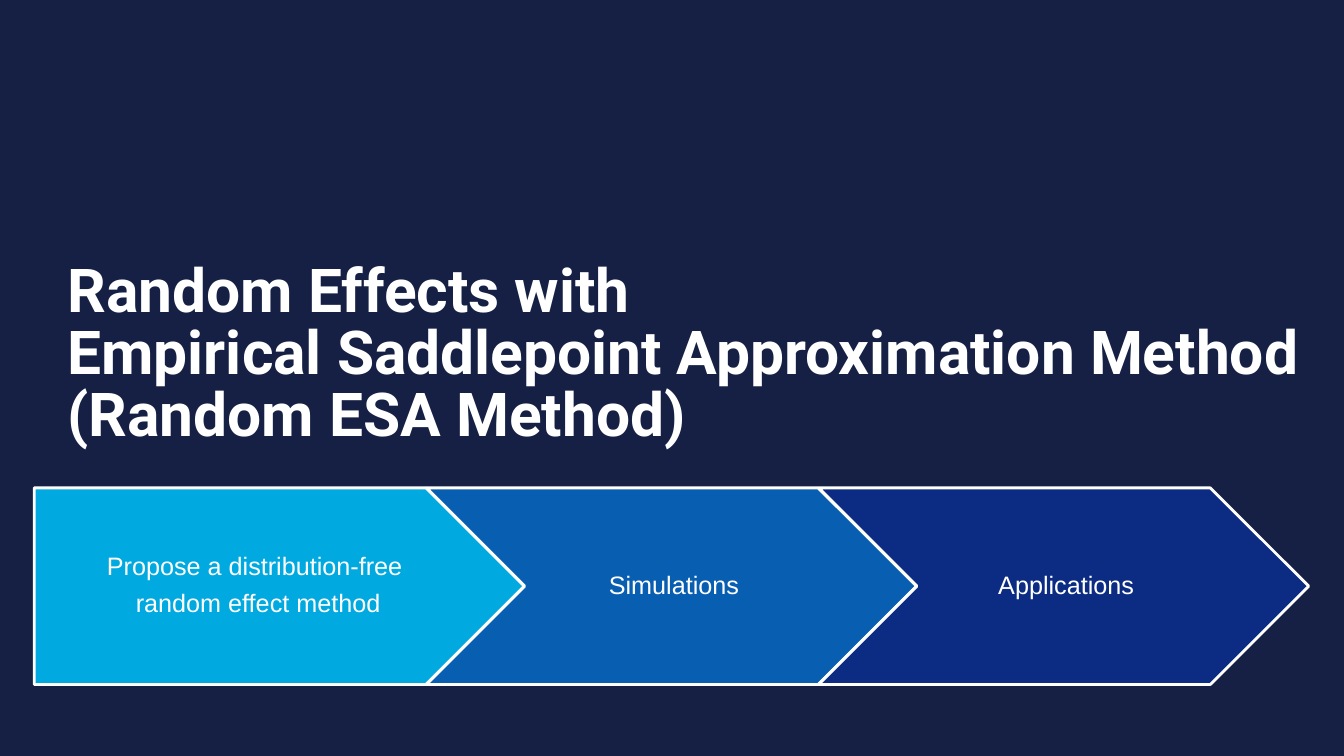
from dataclasses import dataclass

from pptx import Presentation
from pptx.dml.color import RGBColor
from pptx.enum.shapes import MSO_SHAPE
from pptx.enum.text import MSO_ANCHOR, MSO_AUTO_SIZE, PP_ALIGN
from pptx.shapes.shapetree import GroupShapes
from pptx.slide import Slide
from pptx.util import Inches, Pt

PENTAGON = MSO_SHAPE.PENTAGON
CHEVRON = MSO_SHAPE.CHEVRON
MIDDLE = MSO_ANCHOR.MIDDLE
BOTTOM = MSO_ANCHOR.BOTTOM
NO_AUTOFIT = MSO_AUTO_SIZE.NONE
CENTER = PP_ALIGN.CENTER
LEFT = PP_ALIGN.LEFT
TITLE_ONLY_LAYOUT = 5


@dataclass(frozen=True)
class Theme:
    background: RGBColor = RGBColor(0x15, 0x20, 0x44)
    foreground: RGBColor = RGBColor(0xFF, 0xFF, 0xFF)
    cyan: RGBColor = RGBColor(0x00, 0xA9, 0xE0)
    blue: RGBColor = RGBColor(0x08, 0x5E, 0xB0)
    navy: RGBColor = RGBColor(0x0C, 0x2C, 0x83)
    title_font: str = "Roboto"
    body_font: str = "Arial"
    title_size: float = 43.2
    step_size: float = 18
    outline_width: float = 2


@dataclass(frozen=True)
class Step:
    lines: tuple[str, ...]
    fill: RGBColor
    outline: MSO_SHAPE = CHEVRON
    left_inset: float = 0.08


THEME = Theme()
TITLE = "Random Effects with \vEmpirical Saddlepoint Approximation Method\v(Random ESA Method)"
STEPS = (
    Step(("Propose a distribution-free ", "random effect method"), THEME.cyan, PENTAGON, 0.1),
    Step(("Simulations",), THEME.blue),
    Step(("Applications",), THEME.navy),
)
STEP_LEFT, STEP_TOP = 0.34, 4.84
STEP_WIDTH, STEP_HEIGHT = 4.86, 1.95
STEP_PITCH = 3.89


def add_title(slide: Slide, text: str) -> None:
    title = slide.shapes.title
    title.left, title.top = Inches(0.57), Inches(2.75)
    title.width, title.height = Inches(12.76), Inches(1.75)
    frame = title.text_frame
    frame.text = text
    frame.word_wrap = True
    frame.auto_size = NO_AUTOFIT
    frame.vertical_anchor = BOTTOM
    paragraph = frame.paragraphs[0]
    paragraph.alignment = LEFT
    paragraph.line_spacing = 0.85
    paragraph.font.name = THEME.title_font
    paragraph.font.size = Pt(THEME.title_size)
    paragraph.font.bold = True
    paragraph.font.color.rgb = THEME.foreground


def add_step(shapes: GroupShapes, step: Step, left: float) -> None:
    shape = shapes.add_shape(
        step.outline, Inches(left), Inches(STEP_TOP), Inches(STEP_WIDTH), Inches(STEP_HEIGHT)
    )
    shape.shadow.inherit = False
    shape.fill.solid()
    shape.fill.fore_color.rgb = step.fill
    shape.line.color.rgb = THEME.foreground
    shape.line.width = Pt(THEME.outline_width)
    frame = shape.text_frame
    frame.text = "\n".join(step.lines)
    frame.word_wrap = True
    frame.vertical_anchor = MIDDLE
    frame.margin_left, frame.margin_right = Inches(step.left_inset), Inches(0.03)
    frame.margin_top = frame.margin_bottom = Inches(0.05)
    for paragraph in frame.paragraphs:
        paragraph.alignment = CENTER
        paragraph.line_spacing = 0.9
        paragraph.font.name = THEME.body_font
        paragraph.font.size = Pt(THEME.step_size)
        paragraph.font.color.rgb = THEME.foreground
    for paragraph in frame.paragraphs[:-1]:
        paragraph.space_after = Pt(7)


def main() -> None:
    presentation = Presentation()
    presentation.slide_width = Inches(13.33)
    presentation.slide_height = Inches(7.5)
    slide = presentation.slides.add_slide(presentation.slide_layouts[TITLE_ONLY_LAYOUT])
    slide.background.fill.solid()
    slide.background.fill.fore_color.rgb = THEME.background
    add_title(slide, TITLE)
    process = slide.shapes.add_group_shape()
    for index, step in enumerate(STEPS):
        add_step(process.shapes, step, STEP_LEFT + index * STEP_PITCH)
    presentation.save("out.pptx")


if __name__ == "__main__":
    main()
